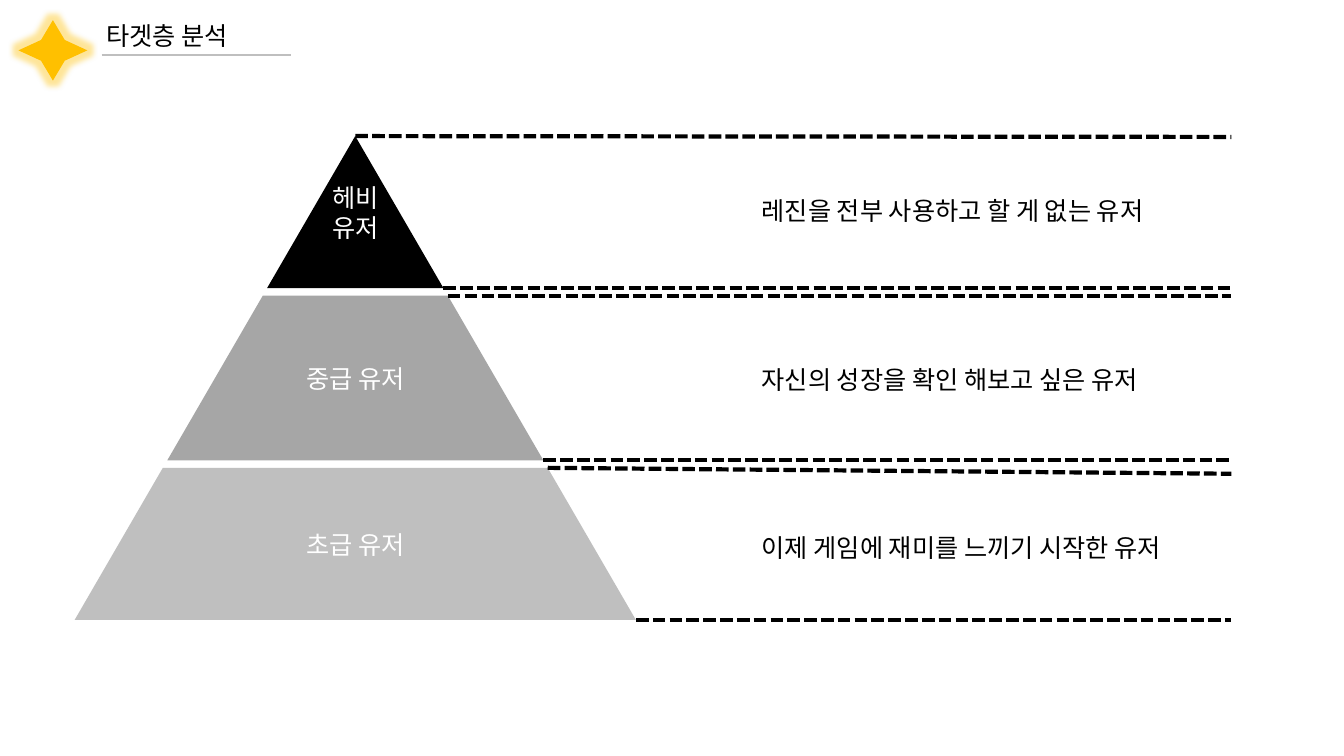
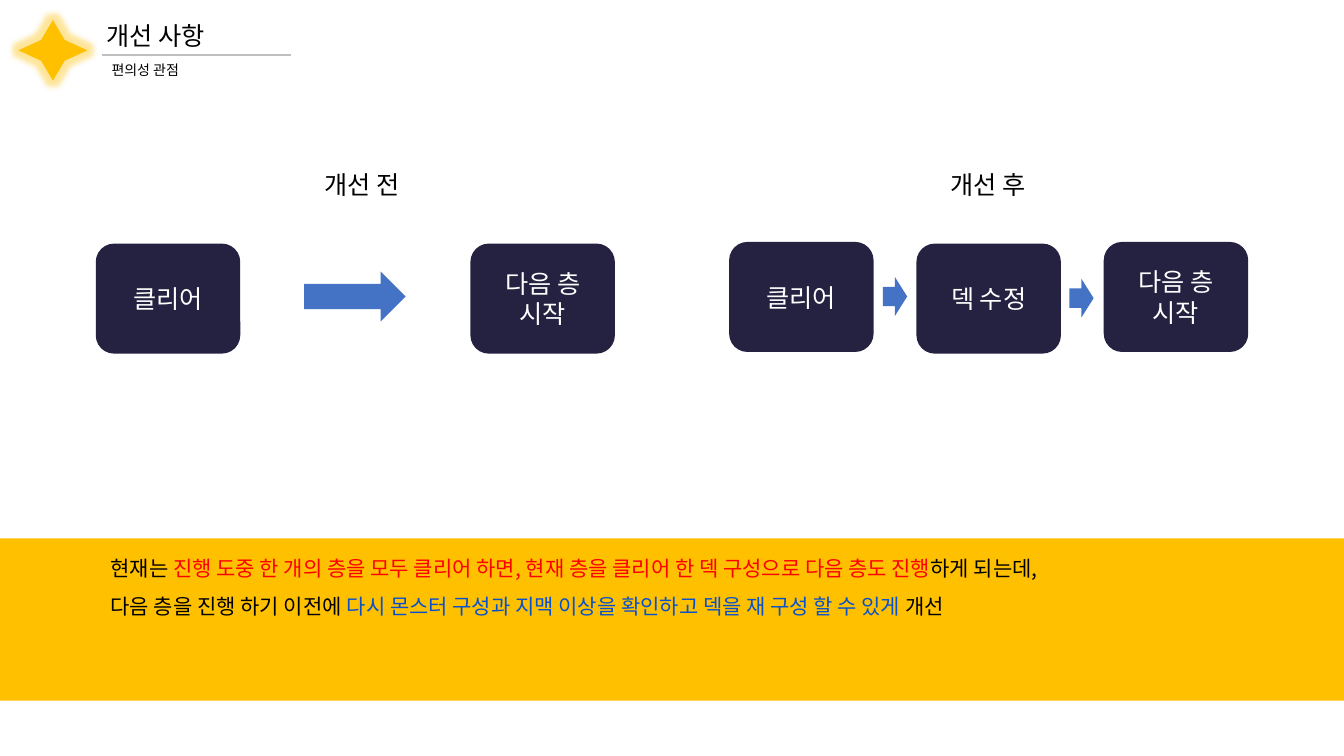
from lxml import etree
from pptx import Presentation
from pptx import util as u
from pptx.dml.color import RGBColor
from pptx.enum import dml, shapes, text
from pptx.oxml.ns import qn

COLS, ROWS = 160, 90
FONT = "Noto Sans CJK KR"
BLACK, WHITE, GOLD = "000000", "FFFFFF", "FFC000"
NAVY, BLUE, RED, INK = "252141", "4472C4", "FF0000", "0751CE"
SILVER, GRAY = "BFBFBF", "A6A6A6"
KIND = shapes.MSO_SHAPE
MID, TOP = text.MSO_ANCHOR.MIDDLE, text.MSO_ANCHOR.TOP
LEFT, MIDST = text.PP_ALIGN.LEFT, text.PP_ALIGN.CENTER


def hue(code):
    return RGBColor.from_string(code)


def write(shape, lines, size=18, color=WHITE, align=MIDST, anchor=MID,
          space=None, indent=0):
    frame = shape.text_frame
    frame.word_wrap = True
    frame.vertical_anchor = anchor
    for row, line in enumerate(lines):
        par = frame.paragraphs[0] if row == 0 else frame.add_paragraph()
        par.alignment = align
        if space:
            par.line_spacing = space
        if indent:
            props = par._p.get_or_add_pPr()
            props.set("marL", str(u.Inches(indent)))
            props.set("indent", "0")
        for part in [(line, color)] if isinstance(line, str) else line:
            run = par.add_run()
            run.text = part[0]
            run.font.size = u.Pt(size)
            run.font.color.rgb = hue(part[1])
            run.font.name = FONT
            east = etree.SubElement(run._r.get_or_add_rPr(), qn("a:ea"))
            east.set("typeface", FONT)


class Deck:
    def __init__(self):
        self.file = Presentation()
        self.file.slide_width = u.Inches(13.333)
        self.file.slide_height = u.Inches(7.5)
        self.page = None

    def x(self, col):
        return round(self.file.slide_width * col / COLS)

    def y(self, row):
        return round(self.file.slide_height * row / ROWS)

    def area(self, x, y, w, h):
        return self.x(x), self.y(y), self.x(w), self.y(h)

    def paint(self, item, fill):
        item.shadow.inherit = False
        item.fill.solid()
        item.fill.fore_color.rgb = hue(fill)
        item.line.fill.background()
        return item

    def shape(self, kind, x, y, w, h, fill):
        item = self.page.shapes.add_shape(kind, *self.area(x, y, w, h))
        return self.paint(item, fill)

    def label(self, line, x, y, w, h, **form):
        box = self.page.shapes.add_textbox(*self.area(x, y, w, h))
        write(box, [line], **{"color": BLACK, "align": LEFT, **form})

    def line(self, x1, y1, x2, y2, color, width, dash=None):
        item = self.page.shapes.add_connector(
            shapes.MSO_CONNECTOR.STRAIGHT,
            self.x(x1), self.y(y1), self.x(x2), self.y(y2))
        item.line.color.rgb = hue(color)
        item.line.width = u.Pt(width)
        if dash:
            item.line.dash_style = dash
        etree.SubElement(item._element.spPr, qn("a:effectLst"))

    def poly(self, points, fill):
        spots = [(self.x(x), self.y(y)) for x, y in points]
        form = self.page.shapes.build_freeform(*spots[0], scale=1.0)
        form.add_line_segments(spots[1:], close=True)
        return self.paint(form.convert_to_shape(), fill)

    def star(self):
        item = self.shape(KIND.STAR_4_POINT, 2.2, 2.4, 8.2, 7.2, GOLD)
        item.adjustments[0] = 0.243
        effects = item._element.spPr.find(qn("a:effectLst"))
        glow = etree.SubElement(effects, qn("a:glow"), rad=str(u.Pt(8)))
        tint = etree.SubElement(glow, qn("a:srgbClr"), val=GOLD)
        etree.SubElement(tint, qn("a:alpha"), val="40000")

    def start(self, title, sub=None):
        self.page = self.file.slides.add_slide(self.file.slide_layouts[6])
        self.label(title, 11.5, 0.1, 30, 8.2)
        self.star()
        self.line(12.1, 6.6, 34.7, 6.6, SILVER, 1.5)
        if sub:
            self.label(sub, 12.1, 6.7, 22.4, 3.2, size=10, anchor=TOP)

    def step(self, lines, x, y):
        box = self.shape(KIND.ROUNDED_RECTANGLE, x, y, 17.2, 13.1, NAVY)
        write(box, lines)

    def arrow(self, x, y, w, h):
        self.shape(KIND.RIGHT_ARROW, x, y, w, h, BLUE)


def target(deck):
    deck.start("타겟층 분석")
    mid, peak, slope, end = 42.3, 16.2, 0.58, 146.6
    tiers = [
        (peak, 34.3, BLACK, ["헤비", "유저"], "레진을 전부 사용하고 할 게 없는 유저", 0.1),
        (35.2, 54.8, GRAY, ["중급 유저"], "자신의 성장을 확인 해보고 싶은 유저", 0),
        (55.7, 73.8, SILVER, ["초급 유저"], "이제 게임에 재미를 느끼기 시작한 유저", 0.7),
    ]
    for row, (top, base, fill, name, note, drop) in enumerate(tiers):
        near, far = (slope * (y - peak) for y in (top, base))
        points = [(mid + near, top), (mid + far, base), (mid - far, base)]
        if near:
            points.append((mid - near, top))
        write(deck.poly(points, fill), name)
        for wide, y, fall in (near, top, drop), (far, base, 0):
            deck.line(mid + wide, y, end, y + fall, BLACK, 3,
                      dml.MSO_LINE.SQUARE_DOT)
        deck.label(note, 89.5, 16.3 + 20.05 * row, 57.1, 17.6)


def change(deck):
    deck.start("개선 사항", "편의성 관점")
    clear, again = ["클리어"], ["다음 층", "시작"]
    for lines, x, y in ((clear, 11.4, 29), (again, 56, 29),
                        (clear, 86.8, 28.8), (["덱 수정"], 109.1, 29),
                        (again, 131.4, 28.8)):
        deck.step(lines, x, y)
    band = deck.shape(KIND.RECTANGLE, 0, 64.1, COLS, 19.3, GOLD)
    write(band, [
        [("현재는 ", BLACK),
         ("진행 도중 한 개의 층을 모두 클리어 하면, 현재 층을 클리어 한 덱 구성으로 다음 층도 진행", RED),
         ("하게 되는데,", BLACK)],
        [("다음 층을 진행 하기 이전에 ", BLACK),
         ("다시 몬스터 구성과 지맥 이상을 확인하고 덱을 재 구성 할 수 있게", INK),
         (" 개선", BLACK)],
    ], size=15, align=LEFT, anchor=TOP, space=1.5, indent=1)
    for name, x in ("개선 전", 31.9), ("개선 후", 106.4):
        deck.label(name, x, 19.6, 22.4, 4.8, align=MIDST, anchor=TOP)
    deck.arrow(36.2, 32.3, 12.1, 6)
    for x, y in (105.1, 33), (127.3, 33.2):
        deck.arrow(x, y, 2.9, 4.6)


def main():
    deck = Deck()
    target(deck)
    change(deck)
    deck.file.save("out.pptx")


if __name__ == "__main__":
    main()
